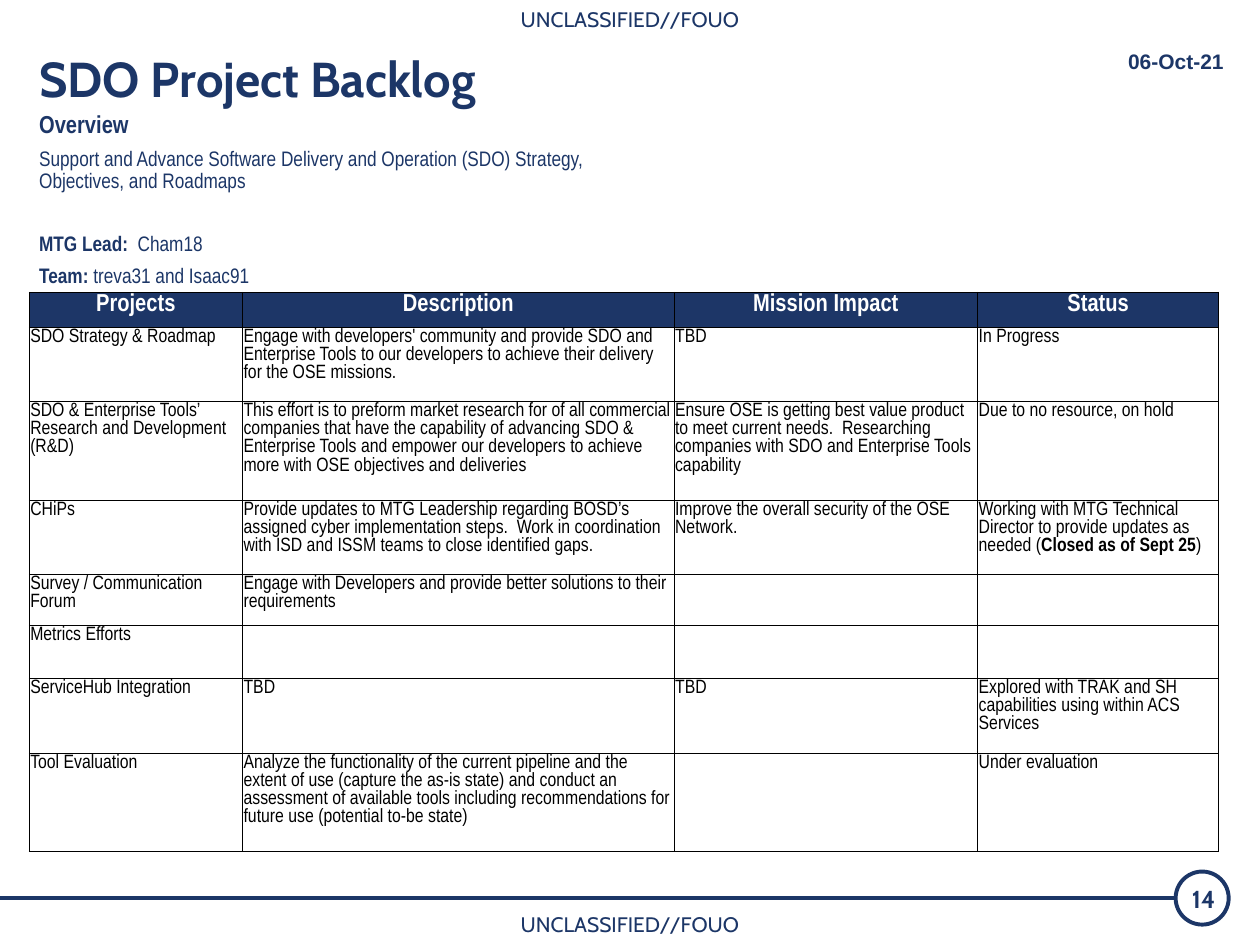
from lxml import etree
from pptx import Presentation
from pptx.dml.color import RGBColor
from pptx.enum.shapes import MSO_CONNECTOR, MSO_SHAPE
from pptx.enum.text import MSO_ANCHOR, PP_ALIGN
from pptx.oxml.ns import qn
from pptx.util import Cm, Pt

LEFT, CENTER, RIGHT = PP_ALIGN.LEFT, PP_ALIGN.CENTER, PP_ALIGN.RIGHT
TOP, MIDDLE = MSO_ANCHOR.TOP, MSO_ANCHOR.MIDDLE
STRAIGHT, OVAL = MSO_CONNECTOR.STRAIGHT, MSO_SHAPE.OVAL

COLORS = {"navy": "1C3667", "header": "1D3667", "white": "FFFFFF", "black": "000000"}
NARROW, CABIN, ARIAL = "Arial Narrow", "Cabin", "Arial"
MARKING = "UNCLASSIFIED//FOUO"

COLUMN_WIDTHS = [4.3, 8.7, 6.12, 4.86]
ROW_HEIGHTS = [0.71, 1.49, 1.98, 1.49, 1.03, 1.07, 1.49, 1.98]
HEADINGS = ["Projects", "Description", "Mission Impact", "Status"]
PROJECTS = [
    ["SDO Strategy & Roadmap",
     "Engage with developers' community and provide SDO and Enterprise Tools to our "
     "developers to achieve their delivery for the OSE missions.",
     "TBD", "In Progress"],
    ["SDO & Enterprise Tools’ Research and Development (R&D)",
     "This effort is to preform market research for of all commercial companies that have "
     "the capability of advancing SDO & Enterprise Tools and empower our developers to "
     "achieve more with OSE objectives and deliveries",
     "Ensure OSE is getting best value product to meet current needs.  Researching "
     "companies with SDO and Enterprise Tools capability",
     "Due to no resource, on hold"],
    ["CHiPs",
     "Provide updates to MTG Leadership regarding BOSD’s assigned cyber implementation "
     "steps.  Work in coordination with ISD and ISSM teams to close identified gaps.",
     "Improve the overall security of the OSE Network.",
     [("Working with MTG Technical Director to provide updates as needed (", False),
      ("Closed as of Sept 25", True), (")", False)]],
    ["Survey / Communication Forum",
     "Engage with Developers and provide better solutions to their requirements", "", ""],
    ["Metrics Efforts", "", "", ""],
    ["ServiceHub Integration", "TBD", "TBD",
     "Explored with TRAK and SH capabilities using within ACS Services"],
    ["Tool Evaluation",
     "Analyze the functionality of the current pipeline and the extent of use (capture the "
     "as-is state) and conduct an assessment of available tools including recommendations "
     "for future use (potential to-be state)",
     "", "Under evaluation"],
]


def rgb(name):
    return RGBColor.from_string(COLORS[name])


def write(para, text, size=12, font=NARROW, color="navy", bold=False, align=LEFT,
          spacing=None, before=None):
    """Fill a paragraph with a string or a list of (string, bold) pairs."""
    para.alignment = align
    if spacing:
        para.line_spacing = spacing
    if before is not None:
        para.space_before = Pt(before)
    for words, heavy in [(text, bold)] if isinstance(text, str) else text:
        span = para.add_run()
        span.text = words
        span.font.size = Pt(size)
        span.font.name = font
        span.font.bold = heavy
        span.font.color.rgb = rgb(color)


def add_box(page, left, top, width, height, anchor=TOP):
    box = page.shapes.add_textbox(Cm(left), Cm(top), Cm(width), Cm(height))
    box.text_frame.word_wrap = True
    box.text_frame.vertical_anchor = anchor
    return box.text_frame


def add_marking(page, top, width):
    frame = add_box(page, 0, top, width, 0.76)
    write(frame.paragraphs[0], MARKING, font=CABIN, align=CENTER)


def add_footer(page, left, top, width, diameter):
    """Rule that runs into a ringed page number."""
    ring_left, middle = left + width - diameter, top + diameter / 2
    rule = page.shapes.add_connector(STRAIGHT, Cm(left), Cm(middle), Cm(ring_left), Cm(middle))
    etree.SubElement(rule._element.spPr, qn("a:effectLst"))
    ring = page.shapes.add_shape(OVAL, Cm(ring_left), Cm(top), Cm(diameter), Cm(diameter))
    ring.shadow.inherit = False
    ring.fill.background()
    for shape in (rule, ring):
        shape.line.color.rgb = rgb("navy")
        shape.line.width = Pt(2.25)
    frame = add_box(page, ring_left - 0.35, top + 0.12, 1.83, 0.84, MIDDLE)
    write(frame.paragraphs[0], "14", size=14, font=CABIN, bold=True, align=CENTER)


def add_heading(page, left, top, width):
    title = add_box(page, left, top, width, 2.11)
    write(title.paragraphs[0], "SDO Project Backlog", size=28, font=CABIN, bold=True)
    date = add_box(page, left + 20.85, top, 3.53, 0.76)
    write(date.paragraphs[0], "06-Oct-21", font=ARIAL, bold=True, align=RIGHT)


def add_overview(page, left, top, width, height):
    frame = add_box(page, left, top, width, height)
    lines = [
        ([("Overview", True)], 14, 5),
        ("Support and Advance Software Delivery and Operation (SDO) Strategy, "
         "Objectives, and Roadmaps", 12, 5),
        ([("MTG Lead:  ", True), ("Cham18", False)], 12, 23),
        ([("Team: ", True), ("treva31 and Isaac91", False)], 12, 5),
    ]
    for index, (text, size, before) in enumerate(lines):
        para = frame.add_paragraph() if index else frame.paragraphs[0]
        write(para, text, size=size, spacing=0.9, before=before)


def add_borders(cell):
    properties = cell._tc.get_or_add_tcPr()
    for side in ("a:lnL", "a:lnR", "a:lnT", "a:lnB"):
        line = etree.SubElement(properties, qn(side), w=str(Pt(0.5)))
        fill = etree.SubElement(line, qn("a:solidFill"))
        etree.SubElement(fill, qn("a:srgbClr"), val=COLORS["black"])


def add_backlog(page, left, top):
    rows = [HEADINGS] + PROJECTS
    frame = page.shapes.add_table(len(rows), len(HEADINGS), Cm(left), Cm(top),
                                  Cm(sum(COLUMN_WIDTHS)), Cm(sum(ROW_HEIGHTS)))
    table = frame.table
    for column, width in zip(table.columns, COLUMN_WIDTHS):
        column.width = Cm(width)
    for row, height in zip(table.rows, ROW_HEIGHTS):
        row.height = Cm(height)
    for row_index, row in enumerate(rows):
        for column_index, text in enumerate(row):
            cell = table.cell(row_index, column_index)
            cell.margin_left = cell.margin_right = cell.margin_top = Cm(0.02)
            cell.margin_bottom = Cm(0.08)
            add_borders(cell)
            para = cell.text_frame.paragraphs[0]
            if row_index == 0:
                cell.fill.solid()
                cell.fill.fore_color.rgb = rgb("header")
                write(para, text, size=14, color="white", bold=True, align=CENTER)
            else:
                cell.fill.background()
                if text:
                    write(para, text, size=11, color="black")


def main():
    deck = Presentation()
    deck.slide_width, deck.slide_height = Cm(25.4), Cm(19.05)
    page = deck.slides.add_slide(deck.slide_layouts[6])
    for top in (0, 18.25):
        add_marking(page, top, 25.4)
    add_footer(page, 0, 17.57, 24.77, 1.07)
    add_heading(page, 0.54, 0.85, 23.85)
    add_overview(page, 0.54, 2.15, 12.14, 3.81)
    add_backlog(page, 0.59, 5.89)
    deck.save("out.pptx")


if __name__ == "__main__":
    main()
